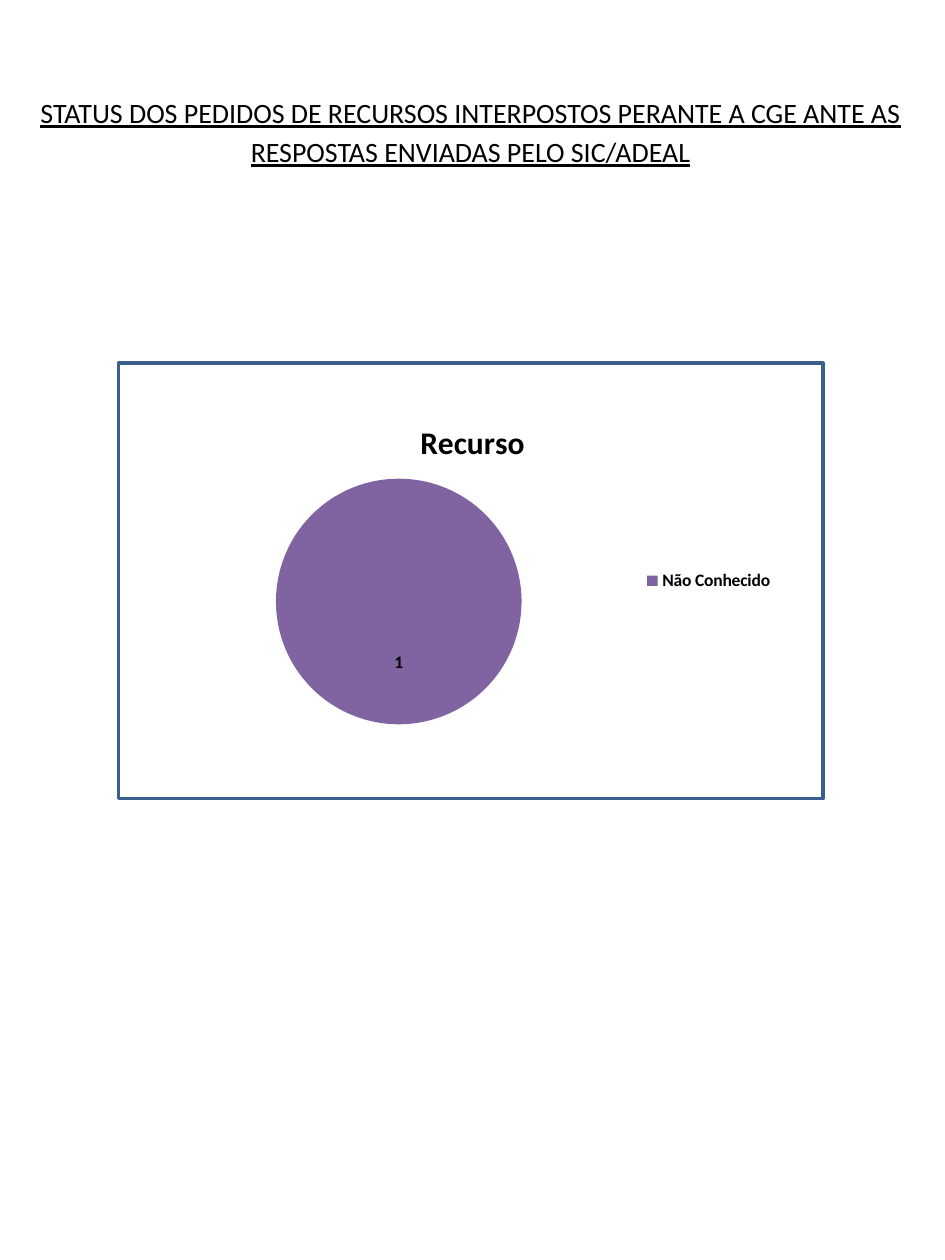
from pptx import Presentation
from pptx.chart.data import CategoryChartData
from pptx.dml.color import RGBColor
from pptx.enum.chart import XL_CHART_TYPE, XL_LABEL_POSITION, XL_LEGEND_POSITION
from pptx.enum.shapes import MSO_SHAPE
from pptx.enum.text import MSO_ANCHOR, MSO_AUTO_SIZE, PP_ALIGN
from pptx.oxml import parse_xml
from pptx.oxml.ns import nsdecls
from pptx.util import Inches, Pt

COLORS = {"text": "000000", "frame": "3A5F8C"}
OUTCOMES = {  # outcome: (count, slice colour)
    "Provido": (0, "4F81BD"),
    "Não Provido": (0, "C0504D"),
    "Perda do Objeto": (0, "9BBB59"),
    "Não Conhecido": (1, "8064A2"),
}
FONT = "Calibri"


def style_font(font, size, bold):
    font.name, font.size, font.bold = FONT, Pt(size), bold
    font.color.rgb = RGBColor.from_string(COLORS["text"])


def manual_layout(x, y, size=""):
    return parse_xml(
        f'<c:layout {nsdecls("c")}><c:manualLayout>'
        + ('<c:layoutTarget val="inner"/>' if size else "")
        + '<c:xMode val="edge"/><c:yMode val="edge"/>'
        f'<c:x val="{x}"/><c:y val="{y}"/>{size}</c:manualLayout></c:layout>')


prs = Presentation()
prs.slide_width, prs.slide_height = Inches(7.5), Inches(10)
slide = prs.slides.add_slide(prs.slide_layouts[5])

# Frame around the chart
frame = slide.shapes.add_shape(
    MSO_SHAPE.RECTANGLE, Inches(0.94), Inches(2.88), Inches(5.59), Inches(3.46))
frame.shadow.inherit = False
frame.fill.background()
frame.line.color.rgb = RGBColor.from_string(COLORS["frame"])
frame.line.width = Pt(2)

# Heading
heading = slide.shapes.title
heading.left, heading.top = Inches(0.13), Inches(0.67)
heading.width, heading.height = Inches(7.21), Inches(0.72)
heading_text = heading.text_frame
heading_text.word_wrap = True
heading_text.auto_size = MSO_AUTO_SIZE.SHAPE_TO_FIT_TEXT
heading_text.vertical_anchor = MSO_ANCHOR.TOP
paragraph = heading_text.paragraphs[0]
paragraph.alignment = PP_ALIGN.CENTER
paragraph.line_spacing = 1.15
paragraph.space_after = Pt(10)
run = paragraph.add_run()
run.text = ("STATUS DOS PEDIDOS DE RECURSOS INTERPOSTOS PERANTE A CGE "
            "ANTE AS RESPOSTAS ENVIADAS PELO SIC/ADEAL")
style_font(run.font, 16, False)
run.font.underline = True

# Pie of appeal outcomes
appeals = CategoryChartData()
appeals.categories = list(OUTCOMES)
appeals.add_series("Series 1", [count for count, _ in OUTCOMES.values()])
chart = slide.shapes.add_chart(
    XL_CHART_TYPE.PIE, Inches(1.24), Inches(3.11), Inches(5), Inches(3), appeals).chart
style_font(chart.font, 10, False)
chart.has_title = True
title_run = chart.chart_title.text_frame.paragraphs[0].add_run()
title_run.text = "Recurso"
style_font(title_run.font, 18, True)
chart.chart_title.include_in_layout = False
chart.has_legend = True
chart.legend.position = XL_LEGEND_POSITION.RIGHT
chart.legend.include_in_layout = False
style_font(chart.legend.font, 10, True)

# Slice colours and labels
plot = chart.plots[0]
plot.vary_by_categories = True
outcomes = plot.series[0]
labels = outcomes.data_labels
labels.show_value = True
labels.show_percentage = False
labels.show_legend_key = False
labels.position = XL_LABEL_POSITION.CENTER
style_font(labels.font, 10, True)
for i, (count, color) in enumerate(OUTCOMES.values()):
    fill = outcomes.points[i].format.fill
    fill.solid()
    fill.fore_color.rgb = RGBColor.from_string(color)
    # Empty outcomes get neither a label nor a legend entry
    if count == 0:
        for parent, tag, place in ((labels._element, "dLbl", i),
                                   (chart.legend._element, "legendEntry", i + 1)):
            parent.insert(place, parse_xml(
                f'<c:{tag} {nsdecls("c")}><c:idx val="{i}"/><c:delete val="1"/></c:{tag}>'))

# Places of the pie and the chart title, as shares of the chart
plot_area = chart._chartSpace.chart.plotArea
for old in plot_area.findall("{*}layout"):
    plot_area.remove(old)
plot_area.insert(0, manual_layout(0.19, 0.23, '<c:w val="0.39"/><c:h val="0.65"/>'))
chart_title = chart.chart_title._element
for old in chart_title.findall("{*}layout"):
    chart_title.remove(old)
chart_title.insert(1, manual_layout(0.41, 0.06))

prs.save("out.pptx")
